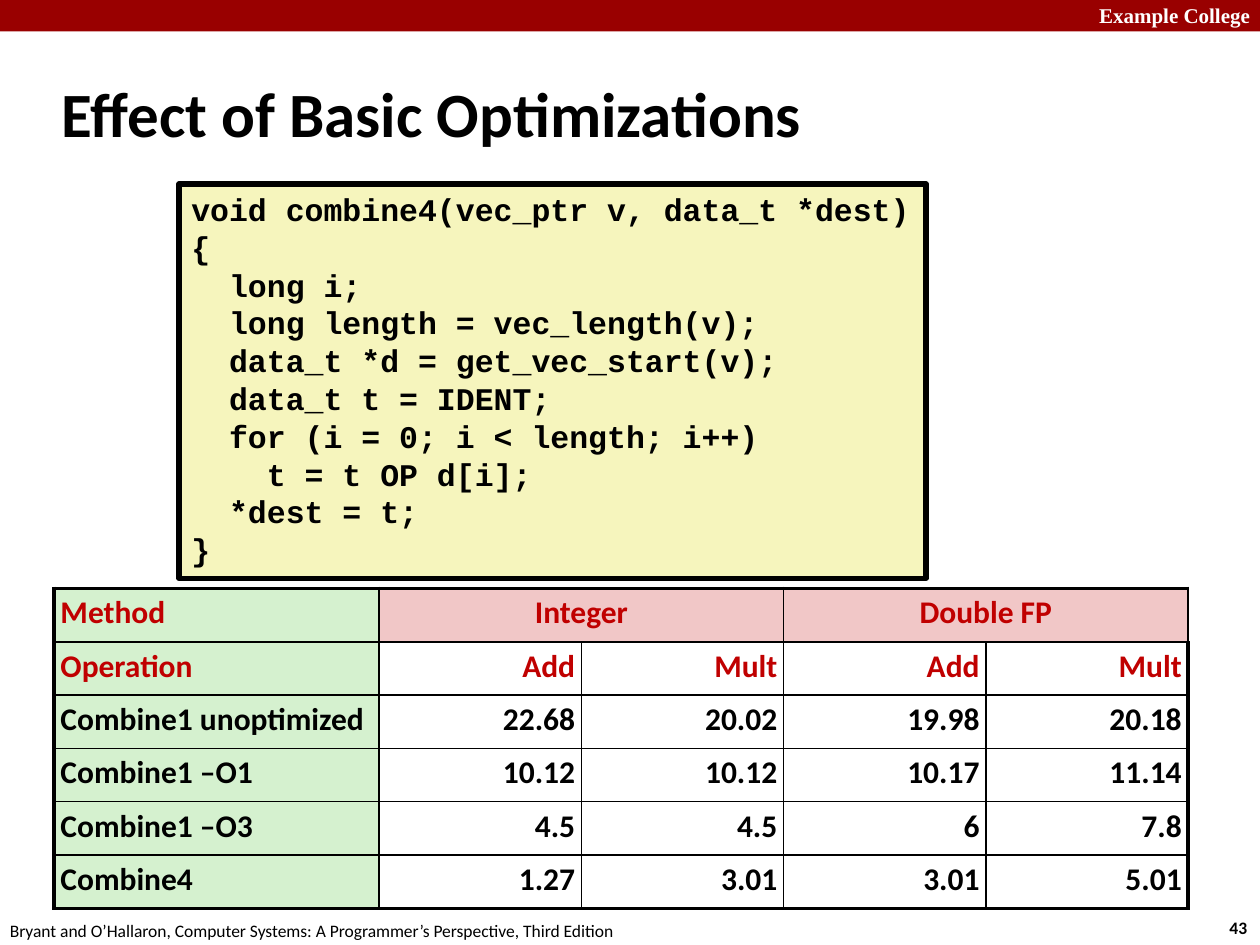
from lxml.etree import SubElement
from pptx import Presentation
from pptx.dml.color import RGBColor as Rgb
from pptx.enum.shapes import MSO_SHAPE as Preset
from pptx.enum.text import MSO_ANCHOR as Anchor, PP_ALIGN as Align
from pptx.oxml.ns import qn
from pptx.util import Inches, Pt

COLUMNS, ROWS = 100, 75
CELL = Inches(0.1)
COLORS = {"black": "000000", "white": "FFFFFF", "banner": "990000", "code": "F6F5BD",
          "label": "D5F1CF", "group": "F1C7C7", "heading": "C00000"}
CODE = """void combine4(vec_ptr v, data_t *dest)
{
  long i;
  long length = vec_length(v);
  data_t *d = get_vec_start(v);
  data_t t = IDENT;
  for (i = 0; i < length; i++)
    t = t OP d[i];
  *dest = t;
}"""
RESULTS = [
    ["Method", "Integer", "", "Double FP", ""],
    ["Operation", "Add", "Mult", "Add", "Mult"],
    ["Combine1 unoptimized", "22.68", "20.02", "19.98", "20.18"],
    ["Combine1 –O1", "10.12", "10.12", "10.17", "11.14"],
    ["Combine1 –O3", "4.5", "4.5", "6", "7.8"],
    ["Combine4", "1.27", "3.01", "3.01", "5.01"],
]


def color(name):
    """Return the named colour."""
    return Rgb.from_string(COLORS[name])


def grid(*lengths):
    """Turn grid units into slide lengths."""
    return [round(length * CELL) for length in lengths]


class SlideBuilder:
    """Hold the style and the current slide."""

    font = "Calibri"

    def __init__(self, presentation):
        """Add a title-only slide."""
        self.slide = presentation.slides.add_slide(presentation.slide_layouts[5])

    def add_lines(self, frame, text, size, ink="black", bold=True, font=None,
                  align=Align.LEFT, spacing=None):
        """Fill a text frame with one paragraph for each line."""
        for index, line in enumerate(text.split("\n")):
            paragraph = frame.add_paragraph() if index else frame.paragraphs[0]
            paragraph.alignment = align
            paragraph.line_spacing = spacing
            run = paragraph.add_run()
            run.text = line
            run.font.name = font or self.font
            run.font.size = Pt(size)
            run.font.bold = bold
            run.font.color.rgb = color(ink)

    def title(self, box, text):
        """Place and format the title."""
        shape = self.slide.shapes.title
        shape.left, shape.top, shape.width, shape.height = grid(*box)
        shape.text_frame.vertical_anchor = Anchor.MIDDLE
        self.add_lines(shape.text_frame, text, 36)

    def text(self, box, text, size, wrap=False, **style):
        """Add a text box."""
        frame = self.slide.shapes.add_textbox(*grid(*box)).text_frame
        frame.word_wrap = wrap
        self.add_lines(frame, text, size, **style)

    def rectangle(self, box, fill, line_width=0):
        """Add a rectangle, outlined in black when a line width is given."""
        shape = self.slide.shapes.add_shape(Preset.RECTANGLE, *grid(*box))
        shape.shadow.inherit = False
        shape.fill.solid()
        shape.fill.fore_color.rgb = color(fill)
        if line_width:
            shape.line.color.rgb = color("black")
            shape.line.width = Pt(line_width)
        else:
            shape.line.fill.background()
        return shape

    def code(self, box, text):
        """Add an outlined code listing."""
        frame = self.rectangle(box, "code", 3).text_frame
        frame.word_wrap = False
        frame.vertical_anchor = Anchor.TOP
        self.add_lines(frame, text, 18, font="Courier New")

    def borders(self, cell, outer):
        """Draw the cell borders, thicker on the outer sides."""
        properties = cell._tc.get_or_add_tcPr()
        for side in "LRTB":
            width = Pt(2.25 if side in outer else 1)
            line = SubElement(properties, qn(f"a:ln{side}"), w=str(width))
            fill = SubElement(line, qn("a:solidFill"))
            SubElement(fill, qn("a:srgbClr"), val=COLORS["black"])

    def table(self, box, values, label_width):
        """Add the results table with paired group headings."""
        last_row, last_column = len(values) - 1, len(values[0]) - 1
        table = self.slide.shapes.add_table(
            last_row + 1, last_column + 1, *grid(*box)).table
        table.first_row = table.horz_banding = False
        value_width = (box[2] - label_width) / last_column
        for index, column in enumerate(table.columns):
            column.width = grid(value_width if index else label_width)[0]
        for r, row in enumerate(values):
            for c, value in enumerate(row):
                cell = table.cell(r, c)
                sides = {"L": c == 0, "R": c == last_column,
                         "T": r == 0, "B": r == last_row}
                self.borders(cell, [side for side in sides if sides[side]])
                cell.margin_left = cell.margin_right = Inches(0.05)
                cell.margin_top = cell.margin_bottom = Inches(0.05)
                fill = "label" if c == 0 else "group" if r == 0 else "white"
                cell.fill.solid()
                cell.fill.fore_color.rgb = color(fill)
                if value:
                    align = (Align.LEFT if c == 0 else
                             Align.CENTER if r == 0 else Align.RIGHT)
                    self.add_lines(cell.text_frame, value, 18, align=align, spacing=0.95,
                                   ink="heading" if r < 2 else "black")
        for c in range(1, last_column, 2):
            table.cell(0, c).merge(table.cell(0, c + 1))


def main():
    """Build and save the slide."""
    presentation = Presentation()
    presentation.slide_width, presentation.slide_height = grid(COLUMNS, ROWS)
    builder = SlideBuilder(presentation)
    builder.rectangle((0, 0, COLUMNS, 2.5), "banner")
    builder.text((85.4, -0.3, 14.8, 3), "Example College", 12, wrap=True,
                 ink="white", font="Times New Roman", align=Align.RIGHT)
    builder.text((96.6, 72.3, 3.7, 2.7), "43", 10)
    builder.text((-0.2, 72.5, 50.8, 2.7),
                 "Bryant and O’Hallaron, Computer Systems: "
                 "A Programmer’s Perspective, Third Edition", 10, bold=False)
    builder.title((3.9, 4.8, 83, 8.3), "Effect of Basic Optimizations")
    builder.code((14.2, 14.6, 59.3, 31.3), CODE)
    builder.table((4.3, 46.7, 90, 25.4), RESULTS, label_width=25.8)
    presentation.save("out.pptx")


main()
